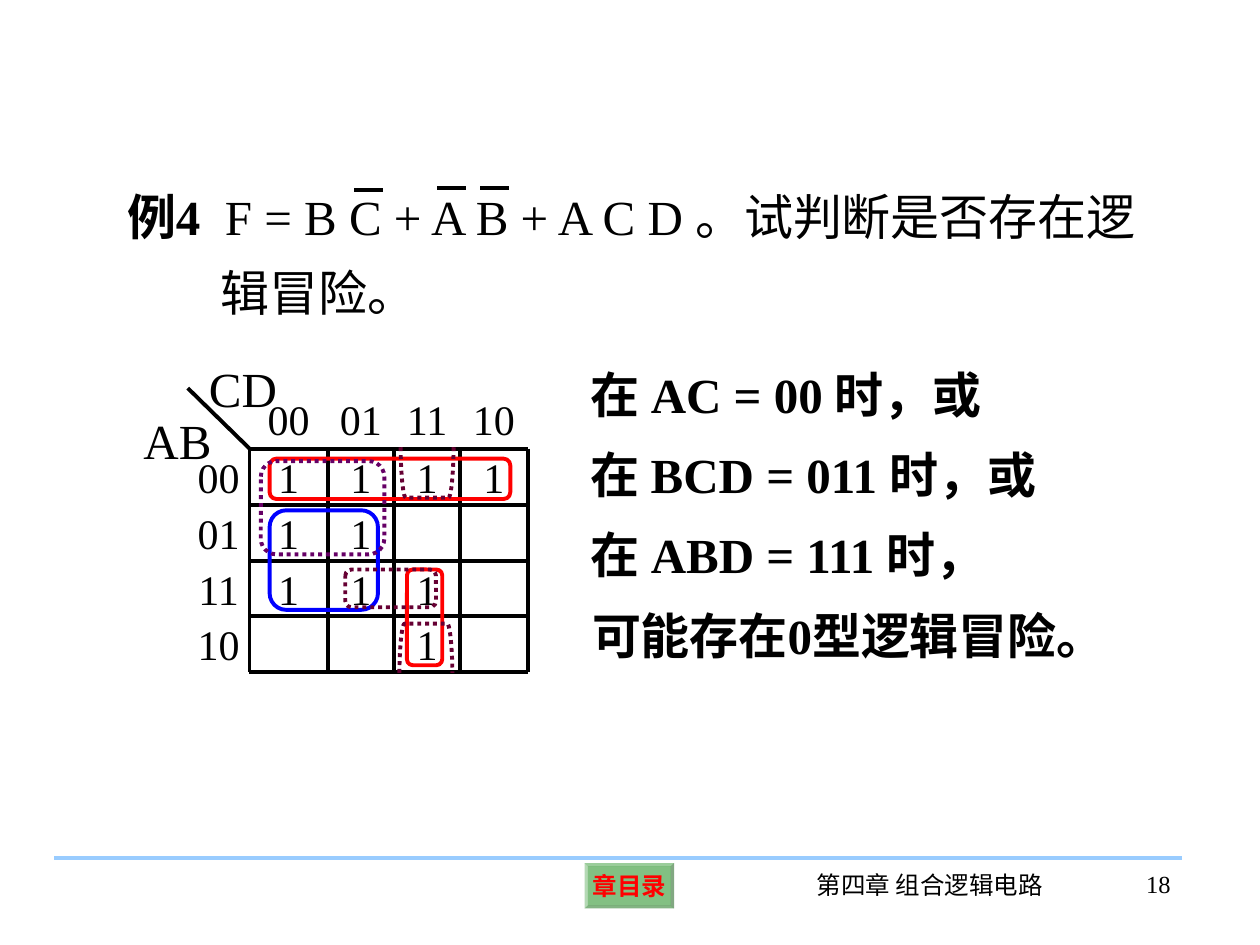
from lxml import etree
from pptx import Presentation
from pptx.dml.color import RGBColor
from pptx.enum.dml import MSO_LINE
from pptx.enum.shapes import MSO_CONNECTOR, MSO_SHAPE
from pptx.enum.text import MSO_ANCHOR, PP_ALIGN
from pptx.oxml.ns import qn
from pptx.util import Pt

PX = 9144
FONT = "Times New Roman"
BLACK, RED, BLUE = "000000", "FF0000", "0000FF"
PURPLE, PLUM = "660066", "660033"
LEFT, CENTER, RIGHT = PP_ALIGN.LEFT, PP_ALIGN.CENTER, PP_ALIGN.RIGHT
TOP, MIDDLE = MSO_ANCHOR.TOP, MSO_ANCHOR.MIDDLE
STRAIGHT = MSO_CONNECTOR.STRAIGHT
ROUNDED, BEVEL = MSO_SHAPE.ROUNDED_RECTANGLE, MSO_SHAPE.BEVEL
DOTTED = MSO_LINE.ROUND_DOT

COLUMN_EDGES = [149, 198, 260, 313, 365, 419]
ROW_EDGES = [308, 356, 401, 445, 489, 533]
MAP_ROWS = [
    ["", "00", "01", "11", "10"],
    ["00", "1", "1", "1", "1"],
    ["01", "1", "1", "", ""],
    ["11", "1", "1", "1", ""],
    ["10", "", "", "1", ""],
]
LOOPS = [
    (214, 364, 191, 32, RED, None),
    (214, 405, 86, 79, BLUE, None),
    (323, 452, 28, 76, RED, None),
    (207, 366, 98, 74, PURPLE, DOTTED),
    (274, 452, 72, 30, PLUM, DOTTED),
]
CONCLUSIONS = [
    (459, 284, 355, 57, "在 AC = 00 时，或"),
    (459, 348, 406, 57, "在 BCD = 011 时，或"),
    (459, 411, 379, 57, "在 ABD = 111 时，"),
    (460, 476, 435, 104, "可能存在0型逻辑冒险。"),
]


def emu(*lengths):
    return [round(length * PX) for length in lengths]


def color(hex_string):
    return RGBColor.from_string(hex_string)


def style_line(line, hex_string, dash=None):
    line.color.rgb = color(hex_string)
    line.width = Pt(2.25)
    if dash is not None:
        line.dash_style = dash


def write(frame, spans, size, align=LEFT, anchor=TOP, inset=(10, 5), wrap=True, ink=BLACK):
    frame.word_wrap = wrap
    frame.vertical_anchor = anchor
    frame.margin_left = frame.margin_right = inset[0] * PX
    frame.margin_top = frame.margin_bottom = inset[1] * PX
    para = frame.paragraphs[0]
    para.alignment = align
    for text, bold in spans:
        span = para.add_run()
        span.text = text
        span.font.name = FONT
        span.font.size = Pt(size)
        span.font.bold = bold
        span.font.color.rgb = color(ink)
    return para


def add_text(page, left, top, width, height, spans, size, **options):
    box = page.shapes.add_textbox(*emu(left, top, width, height))
    return write(box.text_frame, spans, size, **options)


def add_line(page, x1, y1, x2, y2, hex_string=BLACK):
    line = page.shapes.add_connector(STRAIGHT, *emu(x1, y1, x2, y2))
    style_line(line.line, hex_string)
    etree.SubElement(line._element.spPr, qn("a:effectLst"))


def add_loop(page, left, top, width, height, hex_string, dash):
    loop = page.shapes.add_shape(ROUNDED, *emu(left, top, width, height))
    loop.shadow.inherit = False
    loop.adjustments[0] = 0.167
    loop.fill.background()
    style_line(loop.line, hex_string, dash)


def add_open_loop(page, left, open_y, closed_y):
    width, bulge, steps = 42, 4, 10
    depth = closed_y - open_y
    side = []
    for step in range(steps + 1):
        t = step / steps
        x = left + 1.5 * bulge * t * t * (1 - t) + bulge * t ** 3
        y = open_y + depth * (1.5 * t * (1 - t) ** 2 + 3 * t * t * (1 - t) + t ** 3)
        side.append((x, y))
    mirrored = [(2 * left + width - x, y) for x, y in reversed(side)]
    points = [emu(x, y) for x, y in side + mirrored]
    builder = page.shapes.build_freeform(*points[0])
    builder.add_line_segments(points[1:], close=False)
    loop = builder.convert_to_shape()
    loop.shadow.inherit = False
    loop.fill.background()
    style_line(loop.line, PLUM, DOTTED)


def add_button(page, left, top, width, height, text):
    button = page.shapes.add_shape(BEVEL, *emu(left, top, width, height))
    button.shadow.inherit = False
    button.adjustments[0] = 0.07
    button.fill.solid()
    button.fill.fore_color.rgb = color("008000")
    fill = button._element.spPr.find(qn("a:solidFill"))
    etree.SubElement(fill[0], qn("a:alpha"), val="49000")
    button.line.fill.background()
    write(button.text_frame, [(text, True)], 14, align=CENTER, anchor=MIDDLE,
          inset=(4, 4), wrap=False, ink=RED)


def add_footer(page):
    add_button(page, 464, 685, 71, 36, "章目录")
    add_line(page, 43, 681, 938, 681, "99CCFF")
    add_text(page, 624, 686, 228, 50, [("第四章 组合逻辑电路", False)], 14, align=CENTER)
    add_text(page, 853, 685, 86, 50, [("18", False)], 14, align=RIGHT)


def add_question(page):
    spans = [("例4", True), ("  F = B C + A B + A C D 。试判断是否存在逻辑冒险。", False)]
    para = add_text(page, 91, 129, 828, 132, spans, 28)
    para.line_spacing = 1.3
    indent = 74 * PX
    properties = para._p.get_or_add_pPr()
    properties.set("marL", str(indent))
    properties.set("indent", str(-indent))
    for left, y in [(281, 151), (381, 149), (347, 149)]:
        add_line(page, left, y, left + 23, y)


def add_karnaugh_map(page):
    add_text(page, 104, 321, 91, 57, [("AB", False)], 28)
    add_text(page, 156, 280, 91, 57, [("CD", False)], 28)
    for row, values in enumerate(MAP_ROWS):
        top, bottom = ROW_EDGES[row:row + 2]
        for column, value in enumerate(values):
            left, right = COLUMN_EDGES[column:column + 2]
            if value:
                add_text(page, left, top, right - left, bottom - top, [(value, False)], 24,
                         align=CENTER, anchor=MIDDLE, inset=(2, 2))
    add_line(page, COLUMN_EDGES[0], ROW_EDGES[0], COLUMN_EDGES[1], ROW_EDGES[1])
    for x in COLUMN_EDGES[1:]:
        add_line(page, x, ROW_EDGES[1], x, ROW_EDGES[-1])
    for y in ROW_EDGES[1:]:
        add_line(page, COLUMN_EDGES[1], y, COLUMN_EDGES[-1], y)
    for loop in LOOPS:
        add_loop(page, *loop)
    add_open_loop(page, 317, 534, 495)
    add_open_loop(page, 318, 355, 395)


def main():
    deck = Presentation()
    deck.slide_width, deck.slide_height = emu(1000, 750)
    page = deck.slides.add_slide(deck.slide_layouts[6])
    add_footer(page)
    add_question(page)
    add_karnaugh_map(page)
    for left, top, width, height, text in CONCLUSIONS:
        add_text(page, left, top, width, height, [(text, True)], 28)
    deck.save("out.pptx")


if __name__ == "__main__":
    main()
